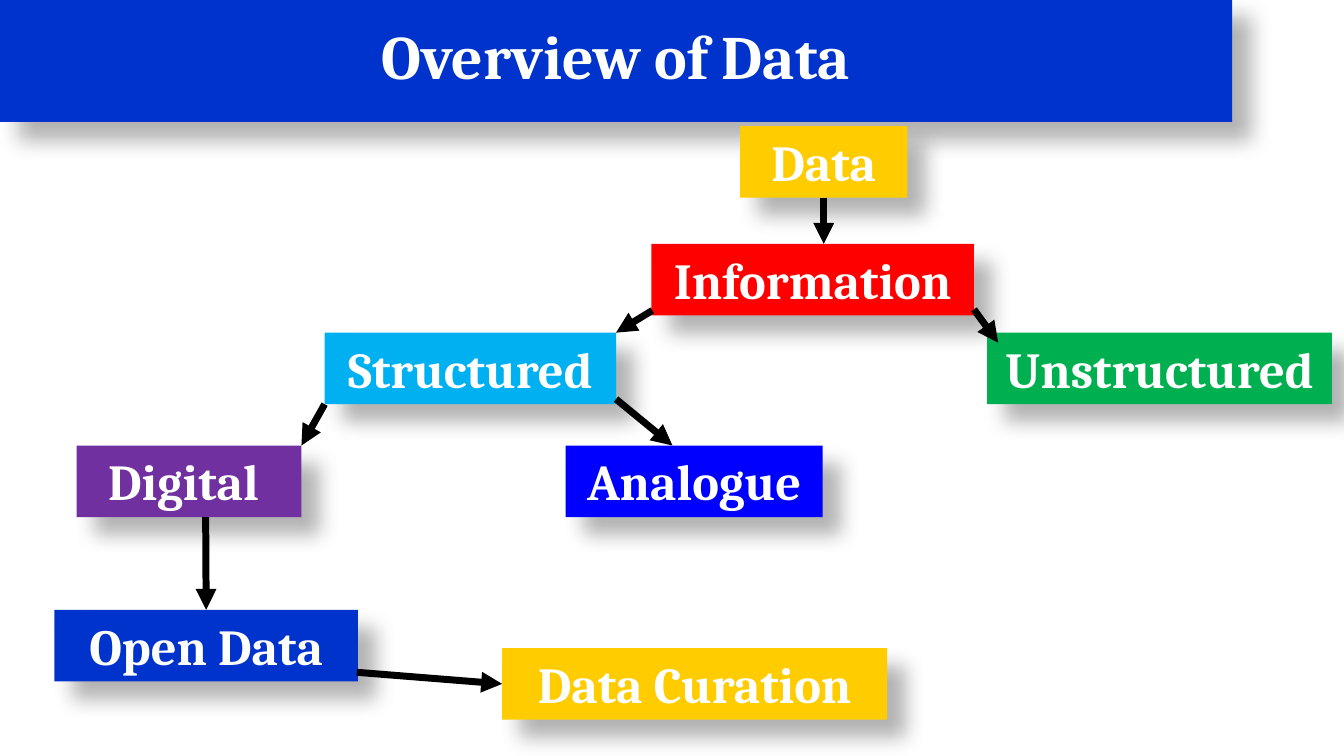
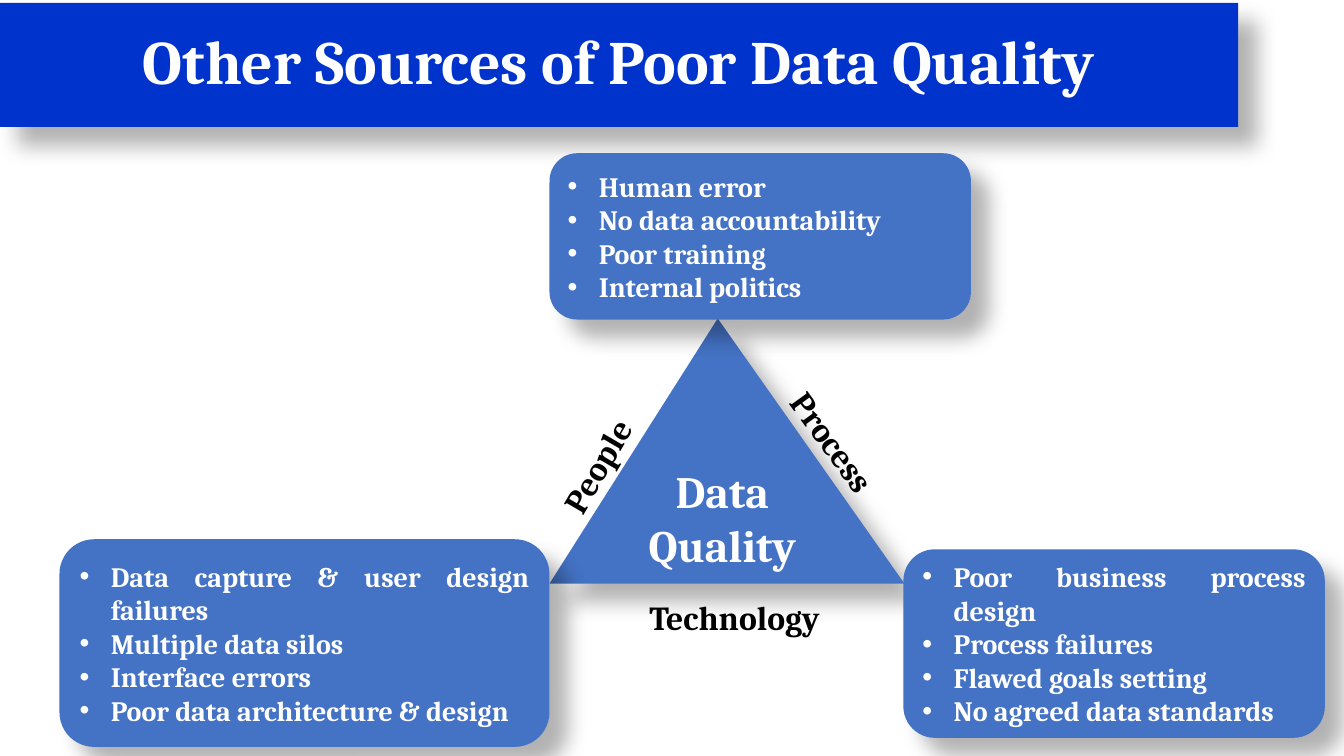
from lxml import etree
from pptx import Presentation
from pptx.dml.color import RGBColor
from pptx.enum.shapes import MSO_CONNECTOR, MSO_SHAPE
from pptx.enum.text import MSO_ANCHOR, MSO_AUTO_SIZE, PP_ALIGN
from pptx.oxml.ns import qn
from pptx.util import Inches, Pt

RECTANGLE = MSO_SHAPE.RECTANGLE
ROUNDED = MSO_SHAPE.ROUNDED_RECTANGLE
TRIANGLE = MSO_SHAPE.ISOSCELES_TRIANGLE
STRAIGHT = MSO_CONNECTOR.STRAIGHT
MIDDLE, TOP_ANCHOR = MSO_ANCHOR.MIDDLE, MSO_ANCHOR.TOP
CENTER, JUSTIFY = PP_ALIGN.CENTER, PP_ALIGN.JUSTIFY
GROW = MSO_AUTO_SIZE.SHAPE_TO_FIT_TEXT
TOP, LEFT, BOTTOM, RIGHT = range(4)

FONT = "Cambria"
COLORS = {
    "band": "0033CC",
    "gold": "FFCC00",
    "red": "FF0000",
    "sky": "00B0F0",
    "green": "00B050",
    "purple": "7030A0",
    "blue": "0000FF",
    "panel": "4472C4",
    "white": "FFFFFF",
    "black": "000000",
}
BAND_HEIGHT = 1.23
NODE_HEIGHT = 0.71
LABEL_HEIGHT = 0.5
BULLET_INDENT = Inches(0.31)

OVERVIEW_TITLE = ("Overview of Data", -0.02, 12.22)
NODES = [
    ("Data", 7.34, 1.25, 1.66, "gold"),
    ("Information", 6.46, 2.42, 3.2, "red"),
    ("Structured", 3.22, 3.3, 2.89, "sky"),
    ("Unstructured", 9.79, 3.3, 3.42, "green"),
    ("Digital ", 0.76, 4.42, 2.23, "purple"),
    ("Analogue", 5.61, 4.42, 2.55, "blue"),
    ("Data Curation", 4.98, 6.43, 3.82, "gold"),
    ("Open Data", 0.54, 6.05, 3.01, "band"),
]
ARROWS = [
    (("Data", BOTTOM), (8.17, 2.42)),
    ((9.66, 3.07), (9.9, 3.4)),
    ((6.47, 3.08), (6.11, 3.3)),
    ((6.11, 3.96), (6.67, 4.42)),
    ((3.22, 4.01), (2.99, 4.42)),
    ((2.04, 5.13), ("Open Data", TOP)),
    ((3.54, 6.67), ("Data Curation", LEFT)),
]

QUALITY_TITLE = ("Other Sources of Poor Data Quality", 0.03, 12.28)
TRIANGLE_TEXT = "Data Quality"
TRIANGLE_BOX = (5.45, 3.16, 3.52, 2.63)
TRIANGLE_APEX = 0.474
PANELS = [
    ((5.45, 1.52, 4.18, 1.65), [
        "Human error",
        "No data accountability",
        "Poor training ",
        "Internal politics",
    ]),
    ((0.59, 5.35, 4.86, 2.06), [
        "Data capture & user design failures",
        "Multiple data silos",
        "Interface errors",
        "Poor data architecture & design",
    ]),
    ((8.96, 5.45, 4.18, 1.87), [
        "Poor business process design",
        "Process failures",
        "Flawed goals setting ",
        "No agreed data standards",
    ]),
]
SIDE_LABELS = [
    ("Technology", 6.14, 5.87, 2.29, 0),
    ("Process", 7.49, 4.13, 1.54, 54),
    ("People", 5.15, 4.37, 1.54, 300.3),
]


def color(name):
    return RGBColor.from_string(COLORS[name])


def child(parent, tag, **attributes):
    element = etree.SubElement(parent, qn(tag))
    for key, value in attributes.items():
        element.set(key, str(value))
    return element


def add_shadow(shape):
    shape.shadow.inherit = False
    effects = shape._element.spPr.find(qn("a:effectLst"))
    shadow = child(effects, "a:outerShdw", blurRad=Pt(15), dist=Pt(18),
                   dir=45 * 60000, algn="tl", rotWithShape=0)
    tint = child(shadow, "a:srgbClr", val=COLORS["black"])
    child(tint, "a:alpha", val=30000)


def write(shape, lines, size, font_color="white", align=CENTER, anchor=MIDDLE):
    frame = shape.text_frame
    frame.text = "\n".join(lines)
    frame.word_wrap = True
    frame.vertical_anchor = anchor
    for paragraph in frame.paragraphs:
        paragraph.alignment = align
        for run in paragraph.runs:
            run.font.name = FONT
            run.font.size = Pt(size)
            run.font.bold = True
            run.font.color.rgb = color(font_color)


def add_block(slide, kind, box, fill):
    shape = slide.shapes.add_shape(kind, *map(Inches, box))
    shape.fill.solid()
    shape.fill.fore_color.rgb = color(fill)
    shape.line.fill.background()
    add_shadow(shape)
    return shape


def add_title(slide, text, top, width):
    band = add_block(slide, RECTANGLE, (0, top, width, BAND_HEIGHT), "band")
    write(band, [text], 44)
    band.text_frame.paragraphs[0].line_spacing = 0.9


def add_node(slide, text, left, top, width, fill):
    node = add_block(slide, RECTANGLE, (left, top, width, NODE_HEIGHT), fill)
    write(node, [text], 36, anchor=TOP_ANCHOR)
    node.text_frame.auto_size = GROW
    return node


def add_arrow(slide, nodes, start, end):
    arrow = slide.shapes.add_connector(STRAIGHT, 0, 0, 0, 0)
    if start[0] in nodes:
        arrow.begin_connect(nodes[start[0]], start[1])
    else:
        arrow.begin_x, arrow.begin_y = map(Inches, start)
    if end[0] in nodes:
        arrow.end_connect(nodes[end[0]], end[1])
    else:
        arrow.end_x, arrow.end_y = map(Inches, end)
    arrow.line.color.rgb = color("black")
    arrow.line.width = Pt(5)
    properties = arrow._element.spPr
    child(properties.find(qn("a:ln")), "a:tailEnd", type="triangle")
    child(properties, "a:effectLst")


def add_panel(slide, box, items):
    panel = add_block(slide, ROUNDED, box, "panel")
    write(panel, items, 20, align=JUSTIFY)
    for paragraph in panel.text_frame.paragraphs:
        properties = paragraph._p.get_or_add_pPr()
        properties.set("marL", str(BULLET_INDENT))
        properties.set("indent", str(-BULLET_INDENT))
        child(properties, "a:buFont", typeface="Arial")
        child(properties, "a:buChar", char="•")


def add_side_label(slide, text, left, top, width, rotation):
    box = map(Inches, (left, top, width, LABEL_HEIGHT))
    label = slide.shapes.add_textbox(*box)
    write(label, [text], 24, "black", anchor=TOP_ANCHOR)
    label.text_frame.auto_size = GROW
    label.rotation = rotation


def build_overview(slide):
    add_title(slide, *OVERVIEW_TITLE)
    nodes = {node[0]: add_node(slide, *node) for node in NODES}
    for start, end in ARROWS:
        add_arrow(slide, nodes, start, end)


def build_quality(slide):
    add_title(slide, *QUALITY_TITLE)
    triangle = add_block(slide, TRIANGLE, TRIANGLE_BOX, "panel")
    triangle.adjustments[0] = TRIANGLE_APEX
    write(triangle, [TRIANGLE_TEXT], 32)
    for box, items in PANELS:
        add_panel(slide, box, items)
    for label in SIDE_LABELS:
        add_side_label(slide, *label)


def main():
    presentation = Presentation()
    presentation.slide_width = Inches(13.33)
    presentation.slide_height = Inches(7.5)
    blank = presentation.slide_layouts[6]
    for build in (build_overview, build_quality):
        build(presentation.slides.add_slide(blank))
    presentation.save("out.pptx")


if __name__ == "__main__":
    main()
